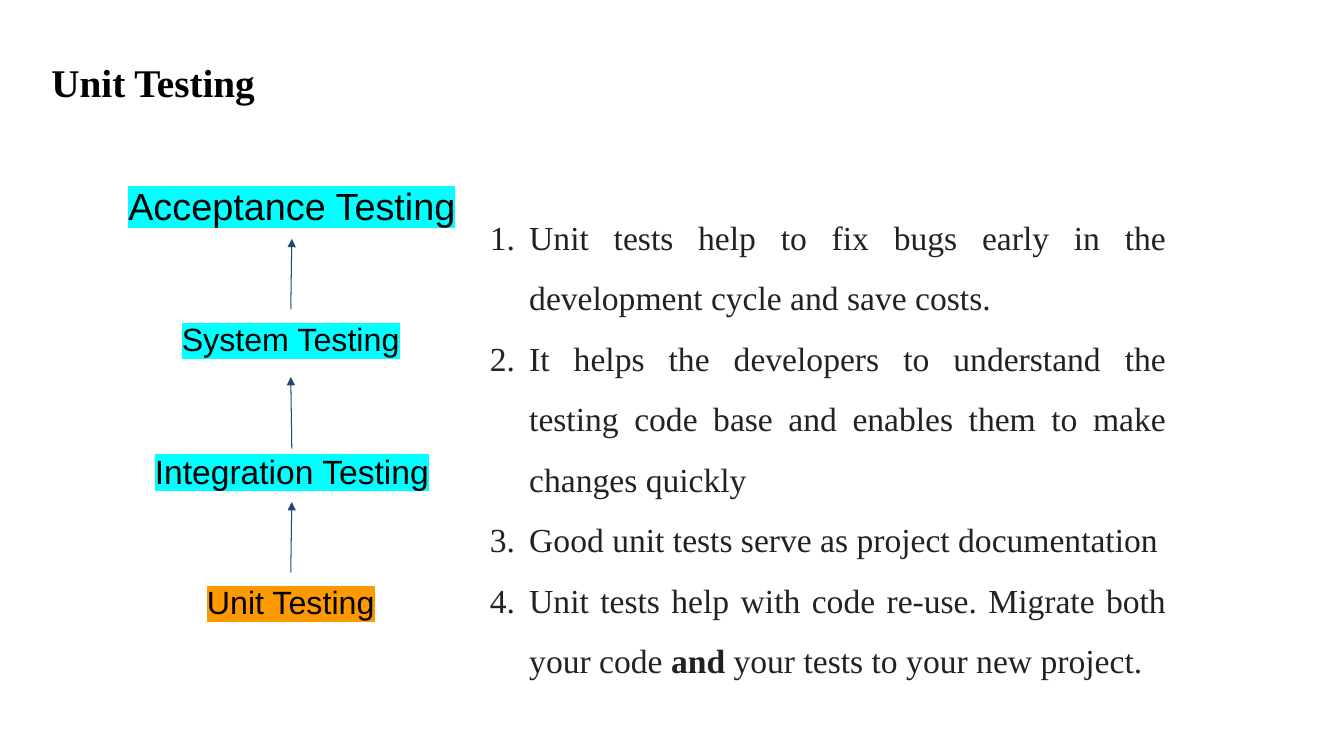
from dataclasses import dataclass

from lxml.etree import SubElement
from pptx import Presentation
from pptx.dml.color import RGBColor
from pptx.enum.shapes import MSO_CONNECTOR as Connector
from pptx.enum.text import MSO_ANCHOR as Anchor, MSO_AUTO_SIZE as AutoSize, PP_ALIGN as Align
from pptx.oxml.ns import qn
from pptx.util import Pt


@dataclass(frozen=True)
class Theme:
    """Colours, fonts and type sizes of the slide."""
    ink: str = "000000"
    body_ink: str = "222222"
    paper: str = "FFFFFF"
    arrow: str = "1F497D"
    level: str = "00FFFF"
    current: str = "FF9900"
    serif: str = "Times New Roman"
    sans: str = "Arial"
    title_size: int = 28
    body_size: int = 24


THEME = Theme()
TITLE = "Unit Testing"
LEVELS = [
    ("Unit Testing", 41.76, 408.96, 42.48, 23, THEME.current),
    ("Integration Testing", 42.48, 314.64, 43.92, 24, THEME.level),
    ("System Testing", 41.76, 221.04, 42.48, 23, THEME.level),
    ("Acceptance Testing", 42.48, 123.12, 47.52, 27, THEME.level),
]
LEVEL_WIDTH = 331.92
MIDDLE_ARROW_SHIFT = 5.76
BENEFITS = [
    ["Unit tests help to fix bugs early in the development cycle and save costs."],
    ["It helps the developers to understand the testing code base and enables them to make changes quickly"],
    ["Good unit tests serve as project documentation"],
    ["Unit tests help with code re-use. Migrate both your code ", "and", " your tests to your new project."],
]
BOLD_WORDS = {"and"}


def place(box, left, top, width, height):
    """Move and size a shape, in points."""
    box.left, box.top, box.width, box.height = map(Pt, (left, top, width, height))


def prepare_frame(box, auto_size):
    """Return the box's text frame with the shared insets, wrap and anchor."""
    frame = box.text_frame
    frame.word_wrap = True
    frame.auto_size = auto_size
    frame.vertical_anchor = Anchor.TOP
    frame.margin_left = frame.margin_right = frame.margin_top = frame.margin_bottom = Pt(7.2)
    return frame


def style(para, name, size, color, align, bold=False):
    """Set the font and alignment of a paragraph."""
    para.alignment = align
    para.font.name, para.font.size, para.font.bold = name, Pt(size), bold
    para.font.color.rgb = RGBColor.from_string(color)


def add_span(para, text, highlight):
    """Add a run of text on a highlight colour."""
    span = para.add_run()
    span.text = text
    mark = SubElement(span._r.get_or_add_rPr(), qn("a:highlight"))
    SubElement(mark, qn("a:srgbClr"), val=highlight)
    return span


def number_paragraph(para):
    """Give a paragraph a hanging automatic number."""
    properties = para._p.get_or_add_pPr()
    properties.set("marL", str(Pt(36)))
    properties.set("indent", str(-Pt(28.08)))
    color = SubElement(properties, qn("a:buClr"))
    SubElement(color, qn("a:srgbClr"), val=THEME.body_ink)
    SubElement(properties, qn("a:buFont"), typeface=THEME.serif)
    SubElement(properties, qn("a:buAutoNum"), type="arabicPeriod")


def fill_title(box):
    """Write the slide title."""
    place(box, 29.52, 34.56, 676.8, 58.32)
    para = prepare_frame(box, AutoSize.NONE).paragraphs[0]
    para.add_run().text = TITLE
    style(para, THEME.serif, THEME.title_size, THEME.ink, Align.LEFT, bold=True)


def fill_benefits(box):
    """Write the numbered list of benefits."""
    place(box, 334.8, 133.2, 505.44, 381.6)
    frame = prepare_frame(box, AutoSize.SHAPE_TO_FIT_TEXT)
    for index, texts in enumerate(BENEFITS):
        para = frame.add_paragraph() if index else frame.paragraphs[0]
        para.line_spacing = 1.5
        para.space_before = Pt(0 if index else 18)
        number_paragraph(para)
        style(para, THEME.serif, THEME.body_size, THEME.body_ink, Align.JUSTIFY)
        for text in texts:
            span = add_span(para, text, THEME.paper)
            if text in BOLD_WORDS:
                span.font.bold = True


def add_level(page, text, left, top, height, size, highlight):
    """Add the label of one testing level."""
    box = page.shapes.add_textbox(Pt(left), Pt(top), Pt(LEVEL_WIDTH), Pt(height))
    para = prepare_frame(box, AutoSize.SHAPE_TO_FIT_TEXT).paragraphs[0]
    style(para, THEME.sans, size, THEME.ink, Align.CENTER)
    add_span(para, text, highlight)
    return box


def add_arrow(page, lower, upper, shift=0):
    """Add an arrow between two levels, joined to them unless shifted down."""
    arrow = page.shapes.add_connector(
        Connector.STRAIGHT,
        lower.left + lower.width // 2, lower.top + Pt(shift),
        upper.left + upper.width // 2, upper.top + upper.height + Pt(shift),
    )
    if not shift:
        arrow.begin_connect(lower, 0)
        arrow.end_connect(upper, 2)
    arrow.line.color.rgb = RGBColor.from_string(THEME.arrow)
    arrow.line.width = Pt(0.75)
    SubElement(arrow.line._get_or_add_ln(), qn("a:tailEnd"), type="triangle")
    SubElement(arrow._element.spPr, qn("a:effectLst"))


def main():
    """Build and save the slide."""
    deck = Presentation()
    deck.slide_width, deck.slide_height = Pt(960), Pt(540)
    page = deck.slides.add_slide(deck.slide_layouts[1])
    fill_title(page.shapes.title)
    boxes = [add_level(page, *level) for level in LEVELS]
    for lower, upper, shift in zip(boxes, boxes[1:], (0, MIDDLE_ARROW_SHIFT, 0)):
        add_arrow(page, lower, upper, shift)
    fill_benefits(page.placeholders[1])
    deck.save("out.pptx")


if __name__ == "__main__":
    main()
